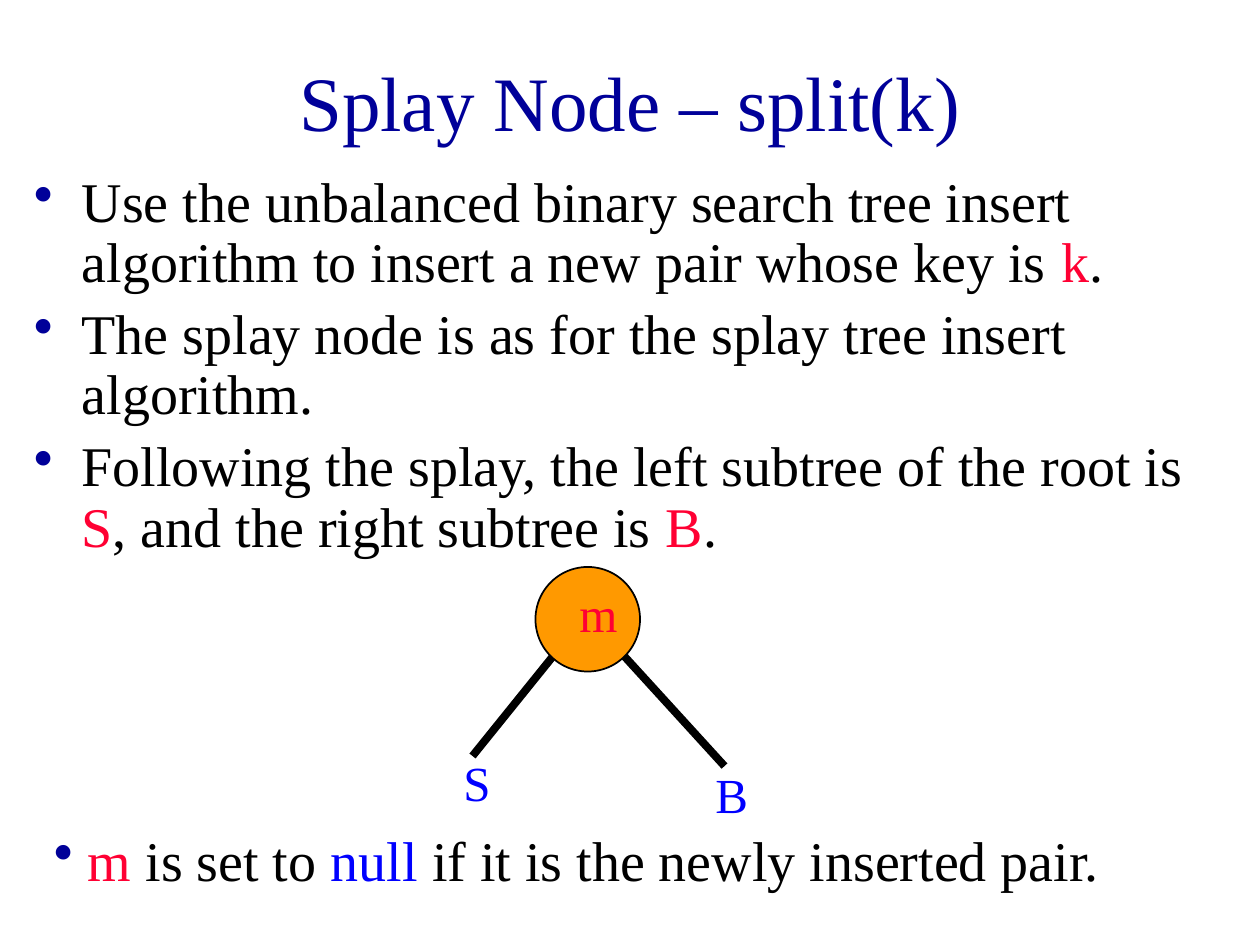
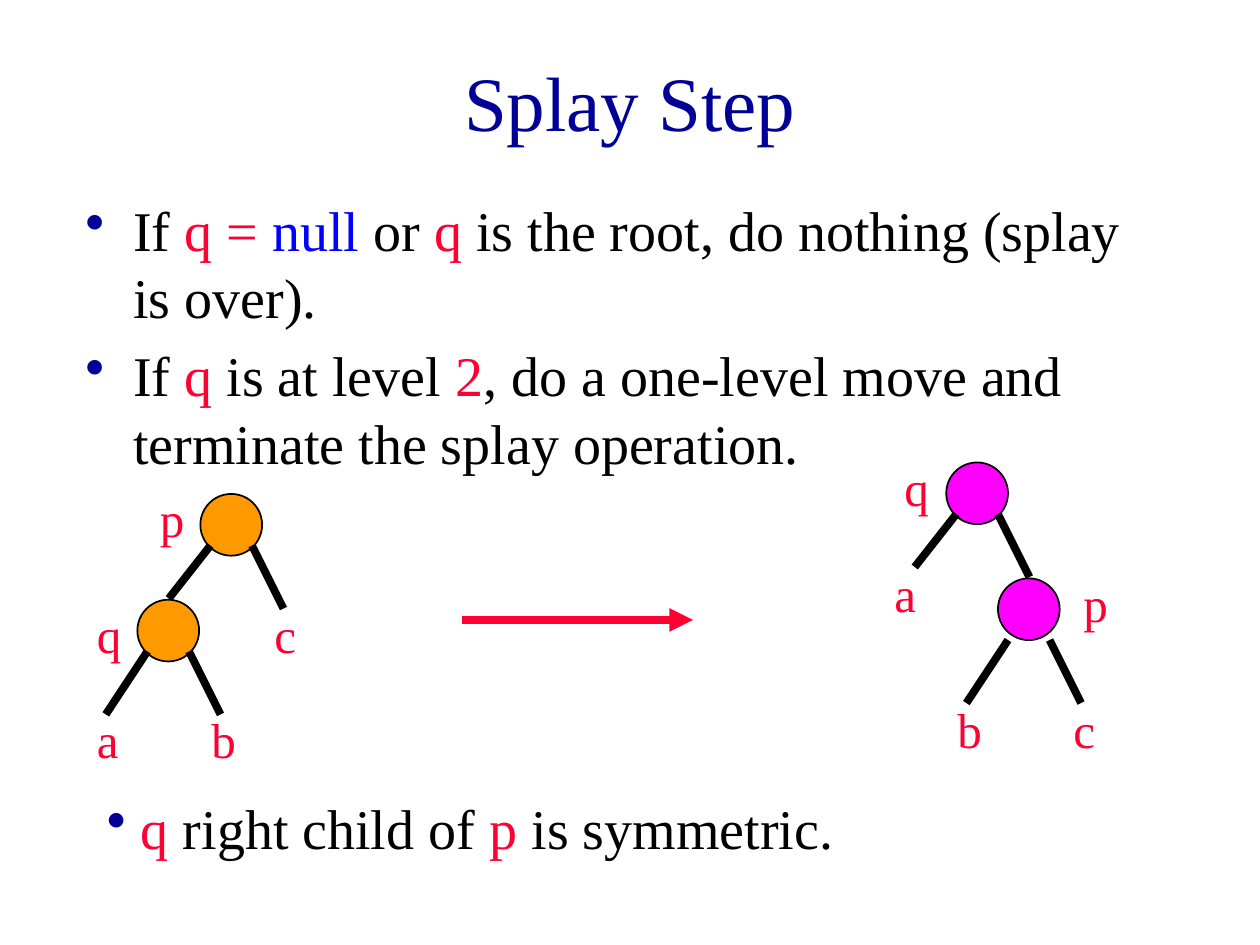
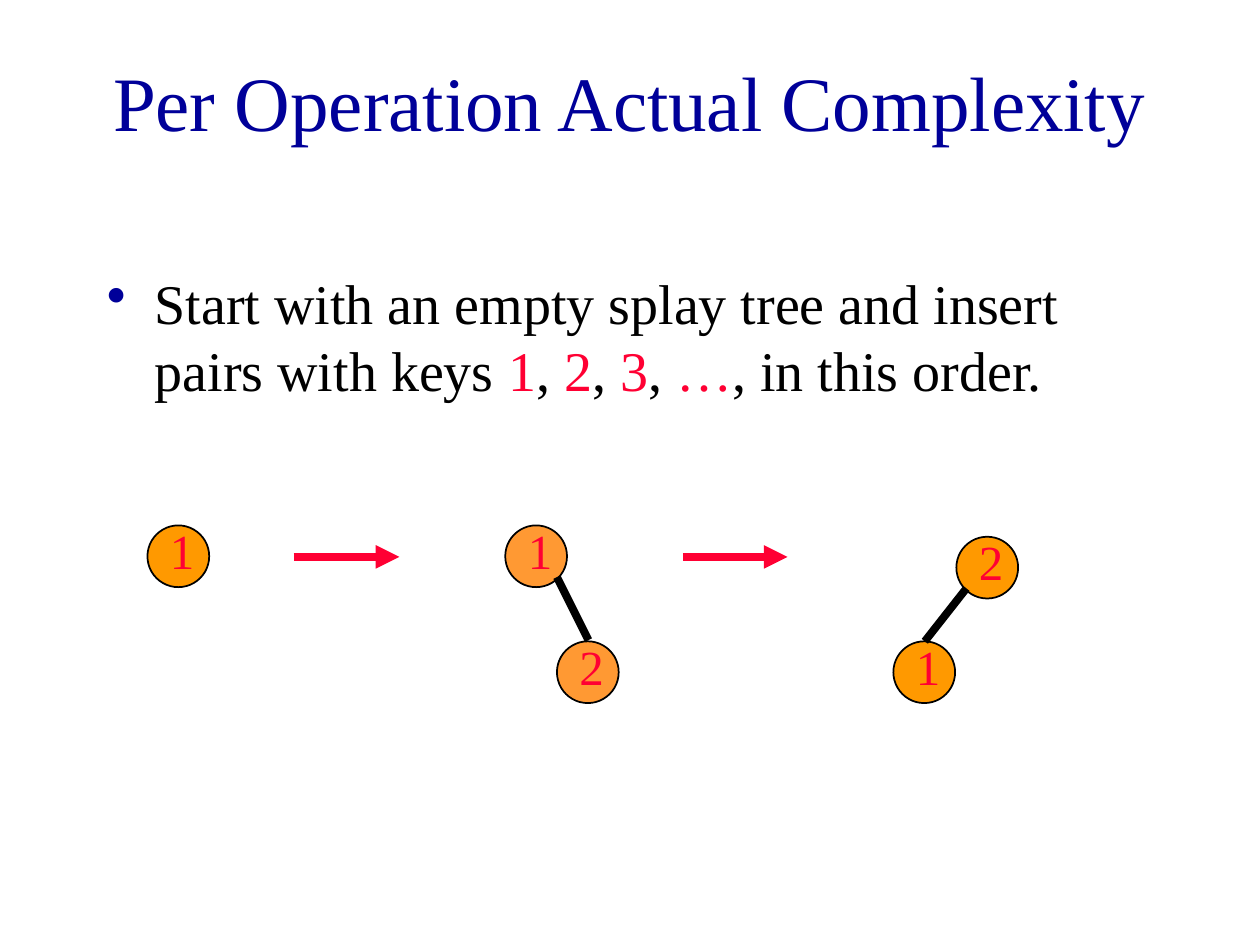
from lxml.etree import SubElement
from pptx import Presentation
from pptx.dml.color import RGBColor
from pptx.enum.shapes import MSO_CONNECTOR, MSO_SHAPE
from pptx.enum.text import MSO_ANCHOR, PP_ALIGN
from pptx.oxml.ns import qn
from pptx.util import Inches, Pt

FONT = "Times New Roman"
COLOURS = {
    "navy": "000099",
    "black": "000000",
    "red": "FF0033",
    "blue": "0000FF",
    "orange": "FF9900",
    "light_orange": "FF9933",
    "magenta": "FF00FF",
}
TITLE_SIZE, BODY_SIZE, LABEL_SIZE = 44, 32, 28
NODE_SIZE = 0.49
LABEL_HEIGHT = 0.57


def colour(name):
    """Return the named colour."""
    return RGBColor.from_string(COLOURS[name])


def add_text_frame(shapes, left, top, width, height):
    """Add a wrapping text box and return its text frame."""
    box = shapes.add_textbox(Inches(left), Inches(top), Inches(width), Inches(height))
    box.text_frame.word_wrap = True
    return box.text_frame


def add_run(paragraph, text, size, colour_name="black"):
    """Append one run in the deck font."""
    run = paragraph.add_run()
    run.text = text
    run.font.name = FONT
    run.font.size = Pt(size)
    run.font.color.rgb = colour(colour_name)


def add_slide(presentation, title):
    """Add a blank slide with the shared title; return its shapes."""
    slide = presentation.slides.add_slide(presentation.slide_layouts[6])
    frame = add_text_frame(slide.shapes, 0.75, 0.17, 8.5, 1.25)
    frame.vertical_anchor = MSO_ANCHOR.MIDDLE
    paragraph = frame.paragraphs[0]
    paragraph.alignment = PP_ALIGN.CENTER
    add_run(paragraph, title, TITLE_SIZE, "navy")
    return slide.shapes


def set_bullet(paragraph, indent):
    """Give a paragraph a navy bullet and a hanging indent in inches."""
    properties = paragraph._p.get_or_add_pPr()
    properties.set("marL", str(Inches(indent)))
    properties.set("indent", str(-Inches(indent)))
    bullet_colour = SubElement(properties, qn("a:buClr"))
    SubElement(bullet_colour, qn("a:srgbClr")).set("val", COLOURS["navy"])
    SubElement(properties, qn("a:buChar")).set("char", "•")


def add_bullets(shapes, left, top, width, height, items, indent=0.38, line_spacing=1.0):
    """Add bulleted paragraphs, each a list of (text, colour) runs."""
    frame = add_text_frame(shapes, left, top, width, height)
    for index, runs in enumerate(items):
        paragraph = frame.add_paragraph() if index else frame.paragraphs[0]
        paragraph.line_spacing = line_spacing
        paragraph.space_before = Pt(0.2 * BODY_SIZE)
        set_bullet(paragraph, indent)
        for text, colour_name in runs:
            add_run(paragraph, text, BODY_SIZE, colour_name)


def add_label(shapes, text, left, top, width=0.67, colour_name="red"):
    """Add a one-letter tree label."""
    frame = add_text_frame(shapes, left, top, width, LABEL_HEIGHT)
    add_run(frame.paragraphs[0], text, LABEL_SIZE, colour_name)


def add_line(shapes, start, end, colour_name="black"):
    """Add a thick straight line between two points and return it."""
    points = [Inches(value) for value in (*start, *end)]
    line = shapes.add_connector(MSO_CONNECTOR.STRAIGHT, *points)
    line.line.color.rgb = colour(colour_name)
    line.line.width = Pt(4.5)
    SubElement(line._element.spPr, qn("a:effectLst"))
    return line


def add_arrow(shapes, left, right, y):
    """Add a red arrow pointing right."""
    arrow = add_line(shapes, (left, y), (right, y), "red")
    SubElement(arrow.line._get_or_add_ln(), qn("a:tailEnd")).set("type", "triangle")


def add_node(shapes, left, top, fill="orange", size=NODE_SIZE):
    """Add a round tree node."""
    node = shapes.add_shape(
        MSO_SHAPE.OVAL, Inches(left), Inches(top), Inches(size), Inches(size))
    node.shadow.inherit = False
    node.fill.solid()
    node.fill.fore_color.rgb = colour(fill)
    node.line.color.rgb = colour("black")
    node.line.width = Pt(1)


def add_left_branch(shapes, left, top, drop=0.42, exit_depth=0.41):
    """Draw the left branch of the node at (left, top)."""
    x, y = left + 0.08, top + exit_depth
    add_line(shapes, (x, y), (x - 0.33, y + drop))


def add_right_branch(shapes, left, top, exit_depth=0.41):
    """Draw the right branch of the node at (left, top)."""
    x, y = left + 0.41, top + exit_depth
    add_line(shapes, (x, y), (x + 0.25, y + 0.5))


def add_key_node(shapes, key, left, top, fill="orange"):
    """Add a node with its key inside."""
    add_node(shapes, left, top, fill)
    add_label(shapes, key, left + 0.08, top - 0.09, 0.75)


def build_split(presentation):
    """Build the slide on the splay node of split(k)."""
    shapes = add_slide(presentation, "Splay Node – split(k)")
    add_bullets(shapes, 0.17, 1.33, 9.58, 3.25, [
        [("Use the unbalanced binary search tree insert algorithm to insert "
          "a new pair whose key is ", "black"), ("k", "red"), (". ", "black")],
        [("The splay node is as for the splay tree insert algorithm.", "black")],
        [("Following the splay, the left subtree of the root is ", "black"),
         ("S", "red"), (", and the right subtree is ", "black"),
         ("B", "red"), (".", "black")],
    ], line_spacing=0.9)

    tree = shapes.add_group_shape().shapes
    add_label(tree, "S", 3.58, 5.92, 0.5, "blue")
    add_line(tree, (4.42, 5.17), (3.75, 6))
    add_line(tree, (4.92, 5.17), (5.75, 6.08))
    add_node(tree, 4.25, 4.5, size=0.83)
    add_label(tree, "m", 4.5, 4.58, 0.58)
    add_label(tree, "B", 5.58, 6.02, 0.5, "blue")

    add_bullets(shapes, 0.33, 6.5, 9.25, 0.63, [
        [(" ", "black"), ("m", "red"), (" is set to ", "black"), ("null", "blue"),
         (" if it is the newly inserted pair.", "black")],
    ], indent=0)


def build_step(presentation):
    """Build the slide on one splay step, with trees before and after."""
    shapes = add_slide(presentation, "Splay Step")
    add_bullets(shapes, 0.58, 1.5, 8.5, 2.67, [
        [("If ", "black"), ("q = ", "red"), ("null", "blue"), (" or ", "black"),
         ("q", "red"), (" is the root, do nothing (splay is over).", "black")],
        [("If ", "black"), ("q", "red"), (" is at level ", "black"), ("2", "red"),
         (", do a one-level move and terminate the splay operation.", "black")],
    ])

    before = shapes.add_group_shape().shapes
    for left, top, drop in [(1.59, 3.92, 0.42), (1.09, 4.76, 0.5)]:
        add_node(before, left, top)
        add_left_branch(before, left, top, drop)
        add_right_branch(before, left, top)
    for text, left, top, width in [
            ("p", 1.17, 3.83, 0.33), ("q", 0.67, 4.75, 0.33),
            ("a", 0.67, 5.58, 0.67), ("b", 1.58, 5.58, 0.67), ("c", 2.08, 4.75, 0.67)]:
        add_label(before, text, left, top, width)

    add_arrow(shapes, 3.67, 5.5, 4.92)

    after = shapes.add_group_shape().shapes
    for left, top, drop, exit_depth in [(7.51, 3.67, 0.42, 0.41), (7.92, 4.59, 0.5, 0.49)]:
        add_node(after, left, top, "magenta")
        add_left_branch(after, left, top, drop, exit_depth)
        add_right_branch(after, left, top, exit_depth)
    for text, left, top, width in [
            ("b", 7.5, 5.5, 0.67), ("c", 8.42, 5.5, 0.67), ("a", 7, 4.42, 0.75),
            ("q", 7.08, 3.58, 0.33), ("p", 8.5, 4.5, 0.33)]:
        add_label(after, text, left, top, width)

    add_bullets(shapes, 0.75, 6.25, 9.25, 0.63, [
        [(" q", "red"), (" right child of ", "black"), ("p", "red"),
         (" is symmetric.", "black")],
    ], indent=0)


def build_complexity(presentation):
    """Build the slide on inserting keys in ascending order."""
    shapes = add_slide(presentation, "Per Operation Actual Complexity")
    keys = []
    for key in ("1", "2", "3", "…"):
        keys += [(key, "red"), (", ", "black")]
    add_bullets(shapes, 0.75, 2.08, 8.5, 1.67, [
        [("Start with an empty splay tree and insert pairs with keys ", "black"),
         *keys[:-1], (", in this order.", "black")],
    ])

    add_arrow(shapes, 2.33, 3.17, 4.42)
    single = shapes.add_group_shape().shapes
    add_key_node(single, "1", 1.17, 4.17)

    inserted = shapes.add_group_shape().shapes
    add_key_node(inserted, "1", 4.01, 4.17, "light_orange")
    add_key_node(inserted, "2", 4.42, 5.09, "light_orange")
    add_right_branch(inserted, 4.01, 4.17)

    add_arrow(shapes, 5.42, 6.25, 4.42)
    splayed = shapes.add_group_shape().shapes
    add_key_node(splayed, "2", 7.59, 4.26)
    add_key_node(splayed, "1", 7.09, 5.09)
    add_left_branch(splayed, 7.59, 4.26)


def main():
    """Build and save the presentation."""
    presentation = Presentation()
    presentation.slide_width = Inches(10)
    presentation.slide_height = Inches(7.5)
    build_split(presentation)
    build_step(presentation)
    build_complexity(presentation)
    presentation.save("out.pptx")


main()
